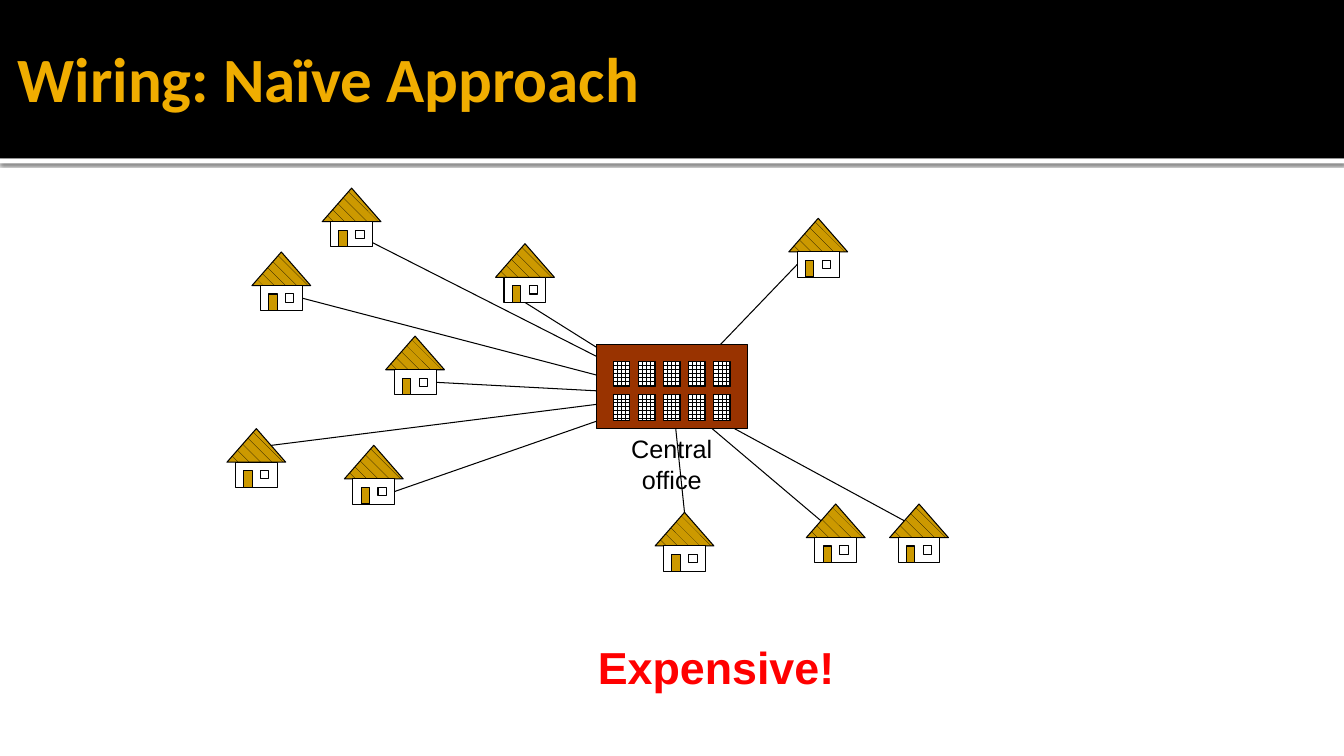
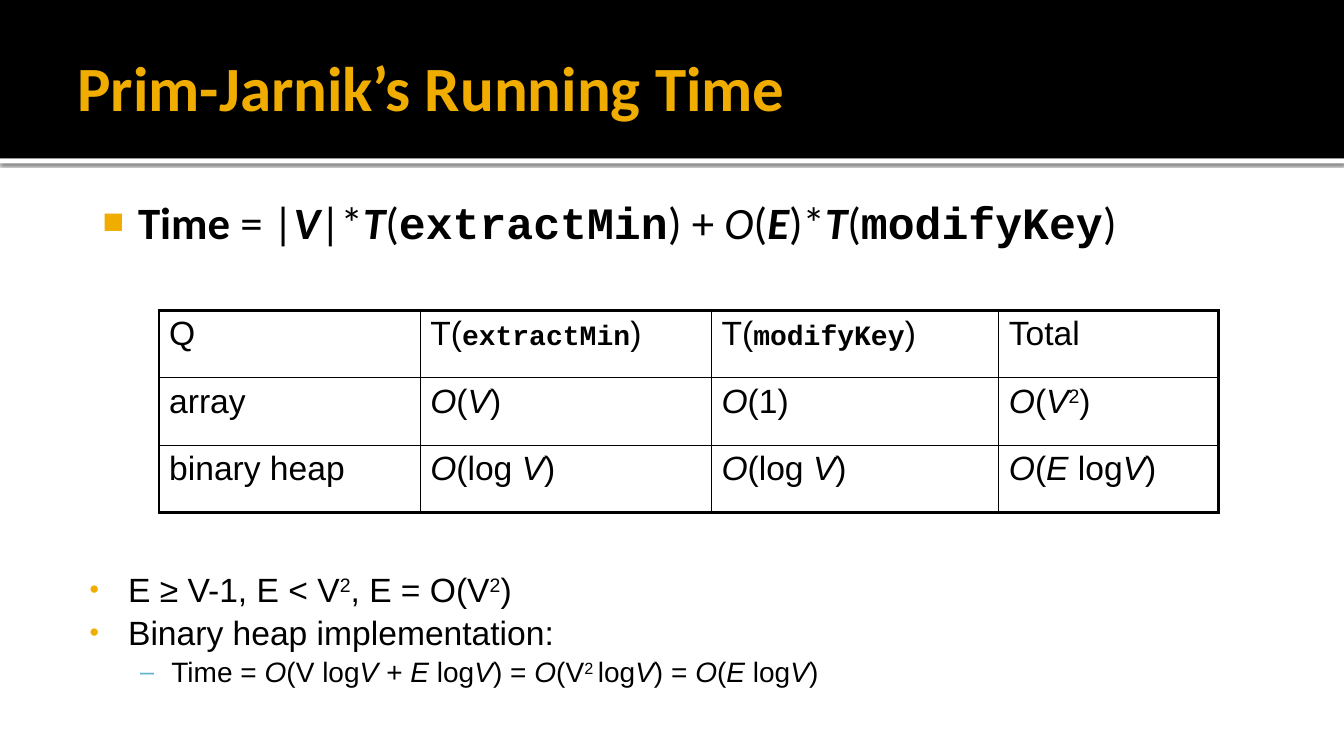
import pptx
import pptx.dml.color
import pptx.enum.dml
import pptx.enum.shapes
import pptx.enum.text
import pptx.oxml
import pptx.oxml.ns
import pptx.util

Cm, Pt = pptx.util.Cm, pptx.util.Pt
RGBColor = pptx.dml.color.RGBColor
SHAPE = pptx.enum.shapes.MSO_SHAPE
PATTERN = pptx.enum.dml.MSO_PATTERN
ALIGN = pptx.enum.text.PP_ALIGN
ANCHOR = pptx.enum.text.MSO_ANCHOR

BLACK = RGBColor(0x00, 0x00, 0x00)
WHITE = RGBColor(0xFF, 0xFF, 0xFF)
AMBER = RGBColor(0xF0, 0xAD, 0x00)
TEAL = RGBColor(0x60, 0xB5, 0xCC)
OCHRE = RGBColor(0xCC, 0x99, 0x00)
BRICK = RGBColor(0x99, 0x33, 0x00)
RED = RGBColor(0xFF, 0x00, 0x00)

HEADING, BODY, MONO = "Calibri", "Arial", "Courier New"
WIDTH, HEIGHT = 33.87, 19.05
UNIT = 2.54 / 12  # drawing grid of the houses and the office, in cm
HUB = (16.94, 9.95)

# Left, top, and where the wire ends: a side of the wall, or a grid offset
HOUSES = [
    (5.72, 10.8, (5.25, 2)),
    (16.51, 12.91, (3.5, 0)),
    (12.49, 6.14, 2),
    (19.88, 5.5, 1),
    (9.72, 8.47, 3),
    (6.35, 6.35, 3),
    (8.68, 11.22, 3),
    (22.42, 12.7, (1.75, 2)),
    (20.32, 12.7, (1.75, 2)),
    (8.12, 4.74, (6, 6.5)),
]

# Run styles: b bold, i italic, m monospaced, ^ superscript
FORMULA = [
    ("Time", "b"), (" = |", ""), ("V", "bi"), ("|*", ""), ("T", "bi"), ("(", ""),
    ("extractMin", "bm"), (") + ", ""), ("O", "i"), ("(", ""), ("E", "bi"),
    (")*", ""), ("T", "bi"), ("(", ""), ("modifyKey", "bm"), (")", ""),
]
LOG_V = [("O", "i"), ("(log ", ""), ("V", "i"), (")", "")]
COSTS = [
    [[("Q", "")],
     [("T(", ""), ("extractMin", "bm"), (")", "")],
     [("T(", ""), ("modifyKey", "bm"), (")", "")],
     [("Total", "")]],
    [[("array", "")],
     [("O", "i"), ("(", ""), ("V", "i"), (")", "")],
     [("O", "i"), ("(1)", "")],
     [("O", "i"), ("(", ""), ("V", "i"), ("2", "^"), (")", "")]],
    [[("binary heap", "")],
     LOG_V,
     LOG_V,
     [("O", "i"), ("(", ""), ("E", "i"), (" log", ""), ("V", "i"), (")", "")]],
]
EDGE_BOUNDS = [("E ≥ V-1, E < V", ""), ("2", "^"), (", E = O(V", ""), ("2", "^"), (")", "")]
HEAP_TIME = [
    ("Time = ", ""), ("O", "i"), ("(V log", ""), ("V ", "i"), ("+ ", ""), ("E ", "i"),
    ("log", ""), ("V", "i"), (") = ", ""), ("O", "i"), ("(V", ""), ("2 ", "^"),
    ("log", ""), ("V", "i"), (") = ", ""), ("O", "i"), ("(", ""), ("E ", "i"),
    ("log", ""), ("V", "i"), (")", ""),
]


def xml(text):
    """Parse one DrawingML element written with the a: prefix."""
    head, mark, tail = text.partition(" ")
    return pptx.oxml.parse_xml(f"{head} {pptx.oxml.ns.nsdecls('a')}{mark}{tail}")


class Deck:
    def __init__(self):
        self.prs = pptx.Presentation()
        self.prs.slide_width, self.prs.slide_height = Cm(WIDTH), Cm(HEIGHT)
        self.shapes = None

    def new_slide(self, title, x, y):
        slide = self.prs.slides.add_slide(self.prs.slide_layouts[5])
        self.shapes = slide.shapes
        rule = self.box(0, 3.99, WIDTH, 0.13, WHITE, line=None)
        rule.element.spPr.find(pptx.oxml.ns.qn("a:effectLst")).append(xml(
            '<a:outerShdw blurRad="31750" dist="10160" dir="5400000" rotWithShape="0">'
            '<a:srgbClr val="000000"><a:alpha val="60000"/></a:srgbClr></a:outerShdw>'))
        band = self.box(0, 0, WIDTH, 3.99, BLACK, line=None)
        for sp in (band, rule):
            self.shapes.element.insert(2, sp.element)  # behind the title

        sp = self.shapes.title
        sp.left, sp.top, sp.width, sp.height = Cm(x), Cm(y), Cm(30.48), Cm(3.48)
        tf = sp.text_frame
        tf.auto_size = pptx.enum.text.MSO_AUTO_SIZE.NONE
        tf.vertical_anchor = ANCHOR.MIDDLE
        tf.margin_left = Cm(0.25)
        tf.margin_right = tf.margin_top = tf.margin_bottom = Cm(0.13)
        p = tf.paragraphs[0]
        p.alignment = ALIGN.LEFT
        self.runs(p, [(title, "b")], 45, HEADING, AMBER)

    def box(self, x, y, w, h, fill=None, line=BLACK, kind=SHAPE.RECTANGLE,
            pattern=None, shapes=None):
        sp = (shapes or self.shapes).add_shape(kind, Cm(x), Cm(y), Cm(w), Cm(h))
        sp.shadow.inherit = False
        if pattern is not None:
            sp.fill.patterned()
            sp.fill.pattern = pattern
            sp.fill.fore_color.rgb, sp.fill.back_color.rgb = BLACK, fill
        elif fill is not None:
            sp.fill.solid()
            sp.fill.fore_color.rgb = fill
        else:
            sp.fill.background()
        if line is None:
            sp.line.fill.background()
        else:
            sp.line.color.rgb, sp.line.width = line, Pt(0.75)
        return sp

    def runs(self, p, parts, size, font=BODY, color=BLACK, mono_size=None):
        for text, style in parts:
            r = p.add_run()
            r.text = text
            mono = "m" in style
            r.font.name = MONO if mono else font
            r.font.size = Pt(mono_size if mono and mono_size else size)
            r.font.color.rgb = color
            r.font.bold, r.font.italic = "b" in style, "i" in style
            if "^" in style:
                r.font.size = Pt(size)
                r._r.get_or_add_rPr().set("baseline", "30000")

    def text_box(self, x, y, w, h, margin=0.0, wrap=True):
        tf = self.shapes.add_textbox(Cm(x), Cm(y), Cm(w), Cm(h)).text_frame
        tf.word_wrap = wrap
        tf.margin_left = tf.margin_right = Cm(2 * margin)
        tf.margin_top = tf.margin_bottom = Cm(margin)
        return tf

    def label(self, x, y, w, h, parts, size, color=BLACK, wrap=True):
        p = self.text_box(x, y, w, h, 0.13, wrap).paragraphs[0]
        p.alignment = ALIGN.CENTER
        self.runs(p, parts, size, color=color)

    def bullet(self, p, char, color, percent, left, hang):
        pPr = p._p.get_or_add_pPr()
        pPr.set("marL", str(Cm(left)))
        pPr.set("indent", str(-Cm(hang)))
        for item in (f'<a:buClr ><a:srgbClr val="{color}"/></a:buClr>',
                     f'<a:buSzPct val="{percent * 1000}"/>',
                     f'<a:buFont typeface="{BODY}"/>',
                     f'<a:buChar char="{char}"/>'):
            pPr.append(xml(item))

    def house(self, x, y):
        """Draw a house and return its wall."""
        group = self.shapes.add_group_shape().shapes

        def part(col, row, cols, rows, fill=None, **style):
            return self.box(x + col * UNIT, y + row * UNIT, cols * UNIT, rows * UNIT,
                            fill, shapes=group, **style)

        part(0, 0, 7, 4, OCHRE, kind=SHAPE.ISOSCELES_TRIANGLE, pattern=PATTERN.SHINGLE)
        wall = part(1, 4, 5, 3, WHITE)
        part(2, 5, 1, 2, OCHRE)
        part(4, 5, 1, 1)
        return wall

    def office(self, x, y):
        self.box(x, y, 18 * UNIT, 10 * UNIT, BRICK)
        for row in range(2):
            for col in range(5):
                self.box(x + (2 + 3 * col) * UNIT, y + (2 + 4 * row) * UNIT,
                         2 * UNIT, 3 * UNIT, WHITE, pattern=PATTERN.LARGE_GRID)

    def wire(self, start, end, wall=None, side=None):
        line = self.shapes.add_connector(
            pptx.enum.shapes.MSO_CONNECTOR.STRAIGHT, *(Cm(v) for v in start + end))
        if wall is not None:
            line.end_connect(wall, side)
        line.line.color.rgb, line.line.width = BLACK, Pt(0.75)
        line.element.spPr.append(xml("<a:effectLst />"))

    def table(self, x, y, widths, row_height, rows):
        last_row, last_col = len(rows) - 1, len(widths) - 1
        table = self.shapes.add_table(len(rows), len(widths), Cm(x), Cm(y), Cm(sum(widths)),
                                      Cm(row_height * len(rows))).table
        table.first_row = table.horz_banding = False
        for column, width in zip(table.columns, widths):
            column.width = Cm(width)
        for i, row in enumerate(rows):
            for j, parts in enumerate(row):
                cell = table.cell(i, j)
                cell.fill.background()
                self.runs(cell.text_frame.paragraphs[0], parts, 24, mono_size=20)
                outer = {"L": j == 0, "R": j == last_col, "T": i == 0, "B": i == last_row}
                self.borders(cell, outer)

    def borders(self, cell, outer):
        tcPr = cell._tc.get_or_add_tcPr()
        for k, (side, thick) in enumerate(outer.items()):
            tcPr.insert(k, xml(
                f'<a:ln{side} w="{Pt(2.25 if thick else 1)}"><a:solidFill>'
                f'<a:srgbClr val="{BLACK}"/></a:solidFill></a:ln{side}>'))


def wiring_slide(deck):
    deck.new_slide("Wiring: Naïve Approach", 0.2, 0.2)
    deck.label(14.81, 10.8, 4.24, 1.02, [("Central office", "")], 18, wrap=False)
    for x, y, end in HOUSES:
        wall = deck.house(x, y)
        if isinstance(end, int):
            deck.wire(HUB, (x, y), wall, end)
        else:
            deck.wire(HUB, (x + end[0] * UNIT, y + end[1] * UNIT))
    deck.office(15.03, 8.68)
    deck.label(12.88, 16, 10.34, 1.63, [("Expensive!", "b")], 32, RED)


def running_time_slide(deck):
    deck.new_slide("Prim-Jarnik’s Running Time", 1.7, 0.43)
    p = deck.text_box(2.26, 4.9, 29.87, 1.5).paragraphs[0]
    deck.bullet(p, "■", AMBER, 80, 1.22, 0.89)
    deck.runs(p, FORMULA, 32, HEADING)

    deck.table(4.01, 7.82, [6.58, 7.34, 7.24, 5.53], 1.7, COSTS)

    tf = deck.text_box(2.26, 14.45, 29.87, 3.2)
    top, sub = ("•", AMBER, 80, 0.97, 0.97), ("–", TEAL, 90, 2.06, 0.79)
    notes = [(EDGE_BOUNDS, 24, top),
             ([("Binary heap implementation:", "")], 24, top),
             (HEAP_TIME, 20, sub)]
    for i, (parts, size, mark) in enumerate(notes):
        p = tf.add_paragraph() if i else tf.paragraphs[0]
        p.line_spacing, p.space_before = 0.9, Pt(0.2 * size)
        deck.bullet(p, *mark)
        deck.runs(p, parts, size)


def main():
    deck = Deck()
    wiring_slide(deck)
    running_time_slide(deck)
    deck.prs.save("out.pptx")


if __name__ == "__main__":
    main()
